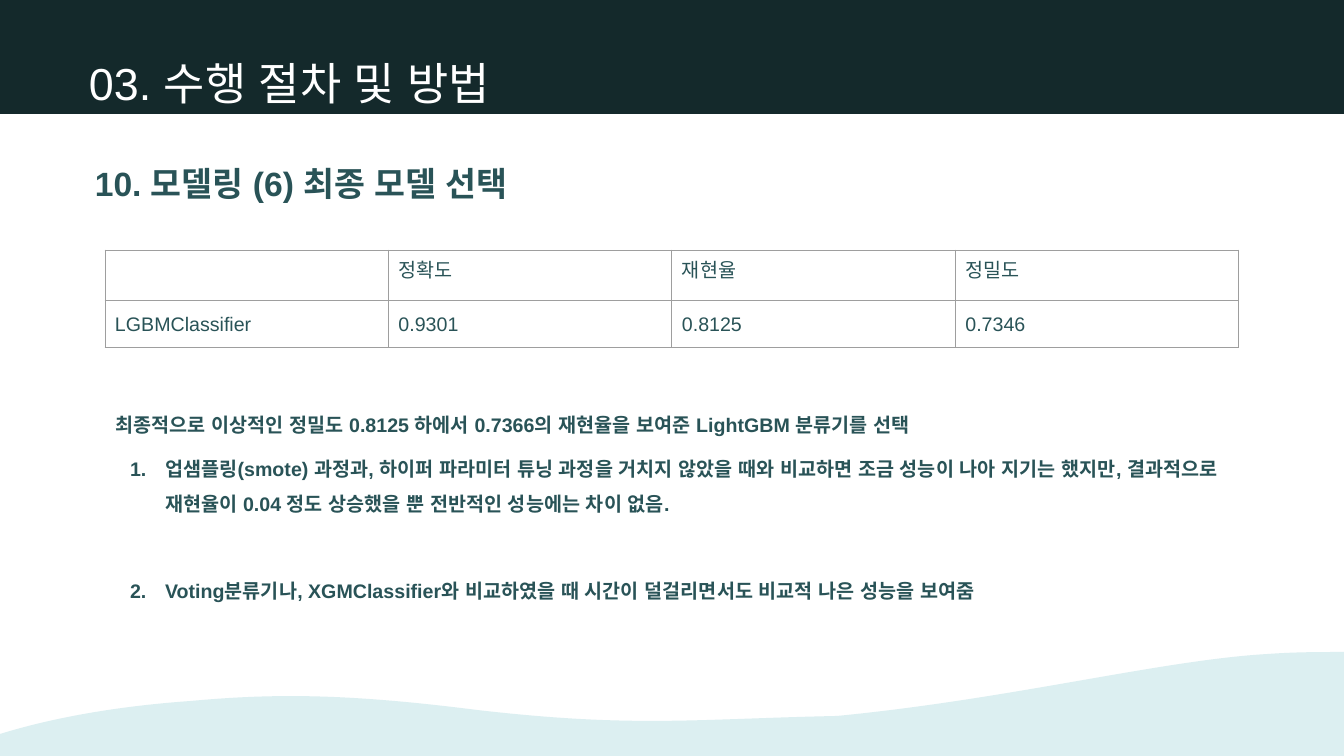
from dataclasses import dataclass

from lxml.etree import SubElement
from pptx import Presentation
from pptx.dml.color import RGBColor
from pptx.enum.shapes import MSO_SHAPE
from pptx.enum.text import MSO_ANCHOR, PP_ALIGN
from pptx.oxml.ns import qn
from pptx.util import Pt

PX = 914400 / 100.8


@dataclass(frozen=True)
class Theme:
    font: str = "Arial"
    dark: RGBColor = RGBColor.from_string("14292B")
    teal: RGBColor = RGBColor.from_string("295357")
    pale: RGBColor = RGBColor.from_string("DCEFF1")
    white: RGBColor = RGBColor.from_string("FFFFFF")
    border: str = "9E9E9E"
    title: int = 32
    heading: int = 24
    body: int = 14


theme = Theme()


def px(*lengths):
    """Turn pixel lengths into whole EMU."""
    return [round(length * PX) for length in lengths]


def style(paragraph, size, color, bold=False):
    """Format a paragraph and its runs, Korean letters included."""
    for font in [paragraph.font] + [run.font for run in paragraph.runs]:
        font.name = theme.font
        font.size = Pt(size)
        font.bold = bold
        font.color.rgb = color
    for run in paragraph.runs:
        for script in ("a:ea", "a:cs"):
            SubElement(run._r.get_or_add_rPr(), qn(script), typeface=theme.font)


prs = Presentation()
prs.slide_width, prs.slide_height = px(1344, 756)
slide = prs.slides.add_slide(prs.slide_layouts[6])
shapes = slide.shapes

# Header band
band = shapes.add_shape(MSO_SHAPE.RECTANGLE, *px(0, 0, 1344, 113))
band.shadow.inherit = False
band.fill.solid()
band.fill.fore_color.rgb = theme.dark
band.line.color.rgb = theme.dark
band.line.width = Pt(1)

# Wave along the foot: its crest runs from right to left in cubic curves
crest_start = (1344, 652)
crest_curves = [
    ((1320, 652), (1295, 652), (1268, 654)),
    ((1162, 660), (1012, 699), (837, 716)),
    ((694, 719), (634, 728), (477, 710)),
    ((351, 694), (277, 693), (191, 701)),
    ((120, 706), (55, 717), (0, 734)),
]
corners = [(0, 756), (1344, 756)]
outline = shapes.build_freeform(*px(*crest_start), scale=1.0)
outline.add_line_segments([px(*curve[-1]) for curve in crest_curves] + [px(*c) for c in corners])
wave = outline.convert_to_shape()
for segment, curve in zip(list(wave._element.iter(qn("a:lnTo"))), crest_curves):
    segment.tag = qn("a:cubicBezTo")
    segment.remove(segment[0])
    for point in curve:
        x, y = px(*point)
        SubElement(segment, qn("a:pt"), x=str(x - wave.left), y=str(y - wave.top))
wave.shadow.inherit = False
wave.fill.solid()
wave.fill.fore_color.rgb = theme.pale
wave.line.fill.background()

# Title and heading
for text, place, size, color, bold in [
    ("03. 수행 절차 및 방법", (79, 51, 443, 65), theme.title, theme.white, False),
    ("10. 모델링 (6) 최종 모델 선택", (85, 158, 708, 92), theme.heading, theme.teal, True),
]:
    frame = shapes.add_textbox(*px(*place)).text_frame
    frame.word_wrap = True
    frame.text = text
    style(frame.paragraphs[0], size, color, bold)

# Scores of the chosen model
scores = [
    ["", "정확도", "재현율", "정밀도"],
    ["LGBMClassifier", "0.9301", "0.8125", "0.7346"],
]
score_table = shapes.add_table(2, 4, *px(105, 250, 1134, 97)).table
score_table.first_row = False
score_table.horz_banding = False
for row, height, spacing, values in zip(score_table.rows, px(50, 47), (1.0, 1.15), scores):
    row.height = height
    for cell, value in zip(row.cells, values):
        cell.text = value
        cell.margin_left = cell.margin_right = cell.margin_top = cell.margin_bottom = px(10)[0]
        label = cell.text_frame.paragraphs[0]
        label.line_spacing = spacing
        style(label, theme.body, theme.teal)
        properties = cell._tc.get_or_add_tcPr()
        for side in ("a:lnL", "a:lnR", "a:lnT", "a:lnB"):
            edge = SubElement(properties, qn(side), w=str(Pt(0.75)))
            SubElement(SubElement(edge, qn("a:solidFill")), qn("a:srgbClr"), val=theme.border)
        cell.fill.background()

# Conclusion with numbered reasons: text, number, space before
conclusion = [
    ("최종적으로 이상적인 정밀도 0.8125 하에서 0.7366의 재현율을 보여준 LightGBM 분류기를 선택", None, 0),
    ("업샘플링(smote) 과정과, 하이퍼 파라미터 튜닝 과정을 거치지 않았을 때와 비교하면 조금 성능이 "
     "나아 지기는 했지만, 결과적으로 재현율이 0.04 정도 상승했을 뿐 전반적인 성능에는 차이 없음.", 1, 6),
    ("Voting분류기나, XGMClassifier와 비교하였을 때 시간이 덜걸리면서도 비교적 나은 성능을 보여줌", 2, 37),
]
panel = shapes.add_shape(MSO_SHAPE.RECTANGLE, *px(105, 391, 1134, 212))
panel.shadow.inherit = False
panel.fill.solid()
panel.fill.fore_color.rgb = theme.white
panel.line.fill.background()
frame = panel.text_frame
frame.word_wrap = True
frame.vertical_anchor = MSO_ANCHOR.TOP
frame.margin_left = frame.margin_right = frame.margin_top = frame.margin_bottom = px(10)[0]
frame.text = "\n".join(text for text, number, space in conclusion)
for paragraph, (text, number, space) in zip(frame.paragraphs, conclusion):
    paragraph.alignment = PP_ALIGN.LEFT
    paragraph.line_spacing = 1.5
    if space:
        paragraph.space_before = Pt(space)
    if number:
        properties = paragraph._p.get_or_add_pPr()
        indent, hanging = px(50, -35)
        properties.set("marL", str(indent))
        properties.set("indent", str(hanging))
        bullet_color = SubElement(properties, qn("a:buClr"))
        SubElement(bullet_color, qn("a:srgbClr"), val=str(theme.teal))
        SubElement(properties, qn("a:buFont"), typeface=theme.font)
        SubElement(properties, qn("a:buAutoNum"), type="arabicPeriod", startAt=str(number))
    style(paragraph, theme.body, theme.teal, bold=True)

prs.save("out.pptx")
